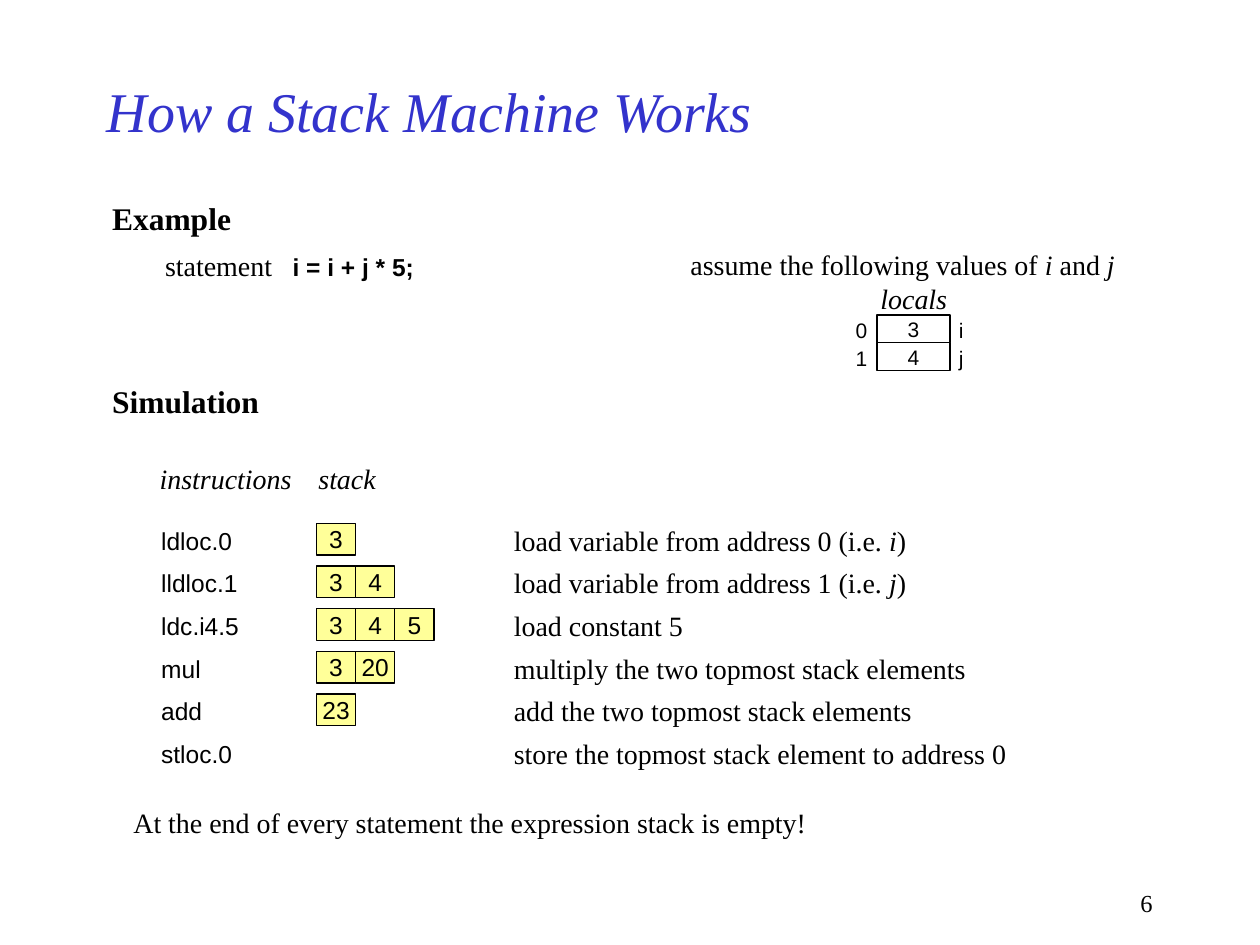
from dataclasses import dataclass
from typing import Any

from lxml import etree
from pptx import Presentation
from pptx.dml.color import RGBColor
from pptx.enum.shapes import MSO_SHAPE
from pptx.enum.text import MSO_ANCHOR, MSO_AUTO_SIZE, PP_ALIGN
from pptx.oxml.ns import qn
from pptx.util import Cm, Pt

RECTANGLE = MSO_SHAPE.RECTANGLE
MIDDLE = MSO_ANCHOR.MIDDLE
TOP = MSO_ANCHOR.TOP
NO_FIT = MSO_AUTO_SIZE.NONE
LEFT, CENTER, RIGHT = PP_ALIGN.LEFT, PP_ALIGN.CENTER, PP_ALIGN.RIGHT

COLORS = {"title": "3333CC", "text": "000000", "stack": "FFFF99"}
SERIF, SANS = "Times New Roman", "Arial"
BODY = {"name": SERIF, "size": Pt(16)}
ITALIC = BODY | {"italic": True}
HEADING = {"name": SERIF, "size": Pt(18), "bold": True}
TITLE = {"name": SERIF, "size": Pt(32), "italic": True}
CODE = {"name": SANS, "size": Pt(14)}
LOCAL = {"name": SANS, "size": Pt(12)}
NUMBER = {"name": SERIF, "size": Pt(14)}
NO_INSETS = {f"margin_{side}": 0 for side in ("left", "top", "right", "bottom")}

ROW_TOP, ROW_PITCH = 10.55, 0.86
STACK_LEFT, STACK_WIDTH, STACK_HEIGHT = 6.38, 0.79, 0.64
LOCALS_LEFT, LOCALS_TOP, LOCALS_WIDTH, LOCALS_HEIGHT = 17.68, 6.35, 1.47, 0.56
STATEMENT_TABS = (1.07, 3.64)


@dataclass
class Span:
    text: str
    style: dict[str, Any]
    color: str = "text"


@dataclass
class Box:
    left: float
    top: float
    width: float
    height: float


@dataclass
class Step:
    instruction: str
    instruction_width: float
    stack: list[str]
    description: list[Span]
    description_width: float


@dataclass
class Local:
    address: str
    value: str
    name: str


STEPS = [
    Step("ldloc.0", 2.2, ["3"],
         [Span("load variable from address 0 (i.e. ", BODY), Span("i", ITALIC), Span(")", BODY)], 8.7),
    Step("lldloc.1", 2.3, ["3", "4"],
         [Span("load variable from address 1 (i.e. ", BODY), Span("j", ITALIC), Span(")", BODY)], 8.7),
    Step("ldc.i4.5", 2.3, ["3", "4", "5"], [Span("load constant 5", BODY)], 4.2),
    Step("mul", 1.6, ["3", "20"], [Span("multiply the two topmost stack elements", BODY)], 9.9),
    Step("add", 1.6, ["23"], [Span("add the two topmost stack elements", BODY)], 8.8),
    Step("stloc.0", 2.2, [], [Span("store the topmost stack element to address 0", BODY)], 10.7),
]
LOCALS = [Local("0", "3", "i"), Local("1", "4", "j")]


def place(box: Box) -> tuple[Cm, Cm, Cm, Cm]:
    return Cm(box.left), Cm(box.top), Cm(box.width), Cm(box.height)


def write(paragraph: Any, spans: list[Span], alignment: Any = LEFT) -> None:
    paragraph.alignment = alignment
    for span in spans:
        run = paragraph.add_run()
        run.text = span.text
        run.font.color.rgb = RGBColor.from_string(COLORS[span.color])
        for attribute, value in span.style.items():
            setattr(run.font, attribute, value)


def add_text(slide: Any, box: Box, spans: list[Span], alignment: Any = LEFT, **frame_format: Any) -> Any:
    frame = slide.shapes.add_textbox(*place(box)).text_frame
    settings = {"word_wrap": True, "auto_size": NO_FIT, "vertical_anchor": TOP} | frame_format
    for attribute, value in settings.items():
        setattr(frame, attribute, value)
    write(frame.paragraphs[0], spans, alignment)
    return frame


def add_cell(slide: Any, box: Box, span: Span, fill: str | None = None) -> None:
    shape = slide.shapes.add_shape(RECTANGLE, *place(box))
    shape.shadow.inherit = False
    if fill:
        shape.fill.solid()
        shape.fill.fore_color.rgb = RGBColor.from_string(COLORS[fill])
    else:
        shape.fill.background()
    shape.line.color.rgb = RGBColor.from_string(COLORS["text"])
    shape.line.width = Pt(0.75)
    frame = shape.text_frame
    settings = NO_INSETS | {"word_wrap": False, "vertical_anchor": MIDDLE}
    for attribute, value in settings.items():
        setattr(frame, attribute, value)
    write(frame.paragraphs[0], [span], CENTER)


def add_tabs(paragraph: Any, positions: tuple[float, ...]) -> None:
    properties = paragraph._p.get_or_add_pPr()
    tab_list = etree.SubElement(properties, qn("a:tabLst"))
    for position in positions:
        etree.SubElement(tab_list, qn("a:tab"), pos=str(int(Cm(position))), algn="l")


def add_example(slide: Any) -> None:
    frame = add_text(slide, Box(2.01, 3.89, 7, 1.93), [Span("Example", HEADING)])
    frame.paragraphs[0].space_after = Pt(6.8)
    statement = frame.add_paragraph()
    add_tabs(statement, STATEMENT_TABS)
    write(statement, [Span("\tstatement\t", BODY), Span("i = i + j * 5;", CODE | {"bold": True})])
    add_text(slide, Box(13.67, 4.86, 9.4, 0.94), [
        Span("assume the following values of ", BODY), Span("i", ITALIC),
        Span(" and ", BODY), Span("j", ITALIC)])


def add_locals(slide: Any) -> None:
    add_text(slide, Box(17.5, 5.55, 2.1, 0.94), [Span("locals", ITALIC)])
    for index, local in enumerate(LOCALS):
        top = LOCALS_TOP + index * LOCALS_HEIGHT
        add_cell(slide, Box(LOCALS_LEFT, top, LOCALS_WIDTH, LOCALS_HEIGHT), Span(local.value, LOCAL))
        for text, left in ((local.address, 17.25), (local.name, 19.33)):
            add_text(slide, Box(left, top + 0.05, 0.3, 0.51), [Span(text, LOCAL)], **NO_INSETS)


def add_step(slide: Any, step: Step, top: float) -> None:
    add_text(slide, Box(3, top - 0.08, step.instruction_width, 0.86), [Span(step.instruction, CODE)])
    for index, value in enumerate(step.stack):
        left = STACK_LEFT + index * STACK_WIDTH
        add_cell(slide, Box(left, top, STACK_WIDTH, STACK_HEIGHT), Span(value, CODE), "stack")
    add_text(slide, Box(10.11, top - 0.13, step.description_width, 0.94), step.description)


def add_simulation(slide: Any) -> None:
    add_text(slide, Box(2.01, 7.57, 3.8, 1.02), [Span("Simulation", HEADING)])
    add_text(slide, Box(2.97, 9.17, 3.4, 0.94), [Span("instructions", ITALIC)])
    add_text(slide, Box(6.17, 9.17, 2, 0.94), [Span("stack", ITALIC)])
    for index, step in enumerate(STEPS):
        add_step(slide, step, ROW_TOP + index * ROW_PITCH)
    add_text(slide, Box(2.44, 16.12, 14.5, 0.94),
             [Span("At the end of every statement the expression stack is empty!", BODY)])


def main() -> None:
    presentation = Presentation()
    presentation.slide_width, presentation.slide_height = Cm(25.4), Cm(19.05)
    slide = presentation.slides.add_slide(presentation.slide_layouts[6])
    add_text(slide, Box(1.9, 1.27, 19.05, 1.91), [Span("How a Stack Machine Works", TITLE, "title")],
             vertical_anchor=MIDDLE)
    add_example(slide)
    add_locals(slide)
    add_simulation(slide)
    add_text(slide, Box(18.21, 17.78, 5.28, 0.84), [Span("6", NUMBER)], RIGHT)
    presentation.save("out.pptx")


if __name__ == "__main__":
    main()
